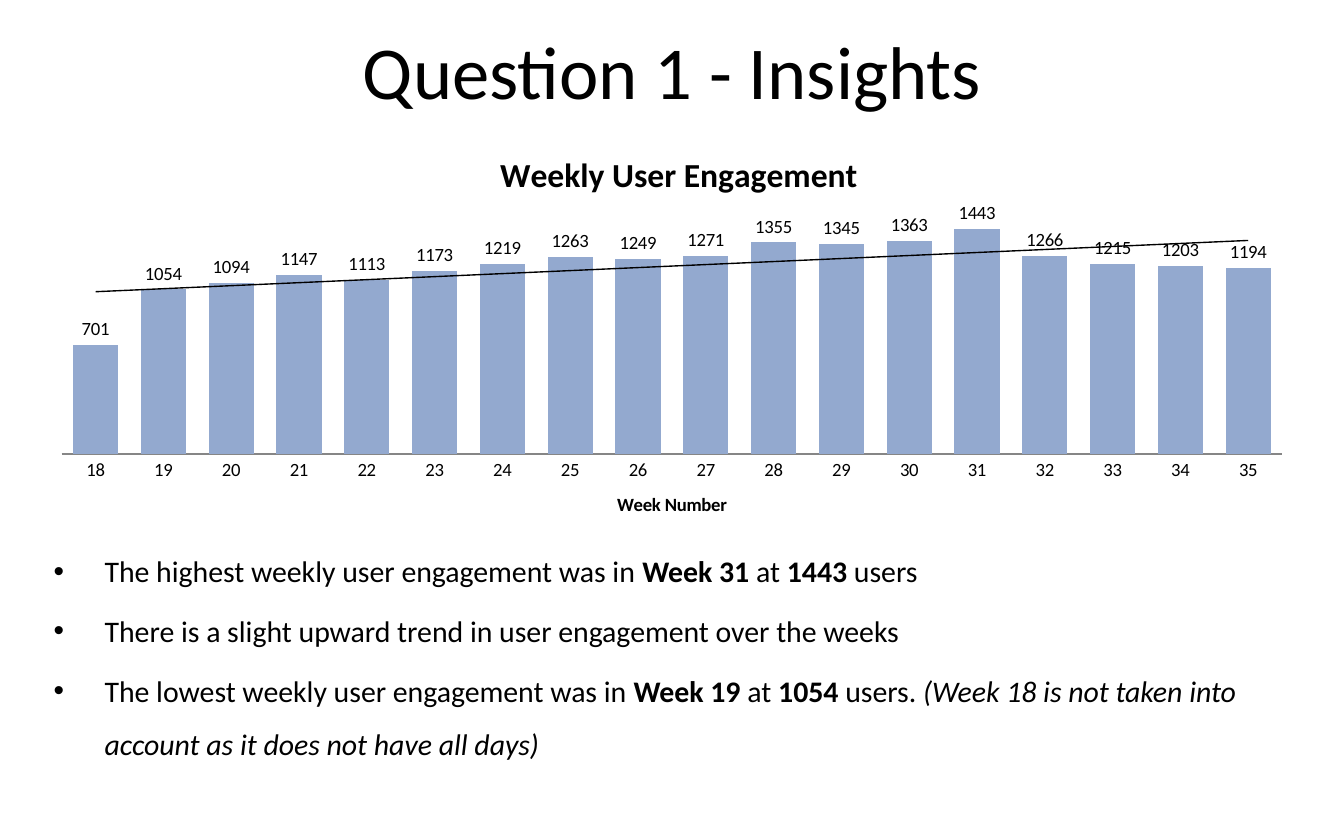
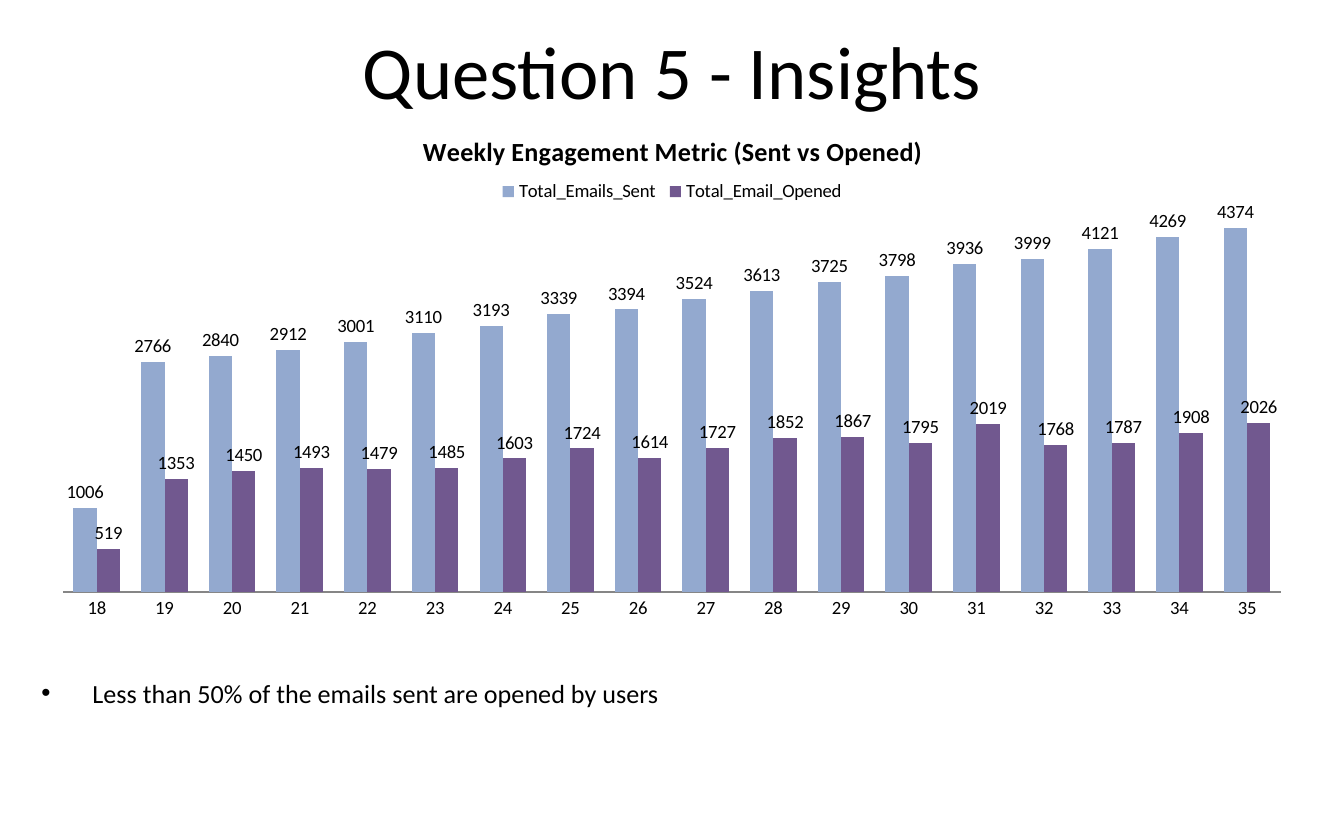
"""Build two slides of weekly insights, each with a chart and bullets."""
from dataclasses import dataclass

from lxml.etree import SubElement
from pptx import Presentation
from pptx.chart.data import CategoryChartData
from pptx.dml.color import RGBColor
from pptx.enum.chart import (XL_CHART_TYPE, XL_LABEL_POSITION,
                             XL_LEGEND_POSITION, XL_TICK_MARK)
from pptx.enum.text import MSO_ANCHOR, PP_ALIGN
from pptx.oxml import parse_xml
from pptx.oxml.ns import nsdecls, qn
from pptx.util import Inches, Pt


@dataclass(frozen=True)
class Theme:
    """Colours and type sizes shared by the slides."""
    font: str = "Calibri"
    ink: RGBColor = RGBColor(0, 0, 0)
    axis: RGBColor = RGBColor(0x86, 0x86, 0x86)
    blue: RGBColor = RGBColor(0x93, 0xA9, 0xCF)
    purple: RGBColor = RGBColor(0x71, 0x58, 0x8F)
    title_size: int = 40
    chart_size: int = 10


THEME = Theme()
WEEKS = [str(week) for week in range(18, 36)]
ENGAGEMENT = [701, 1054, 1094, 1147, 1113, 1173, 1219, 1263, 1249,
              1271, 1355, 1345, 1363, 1443, 1266, 1215, 1203, 1194]
SENT = [1006, 2766, 2840, 2912, 3001, 3110, 3193, 3339, 3394,
        3524, 3613, 3725, 3798, 3936, 3999, 4121, 4269, 4374]
OPENED = [519, 1353, 1450, 1493, 1479, 1485, 1603, 1724, 1614,
          1727, 1852, 1867, 1795, 2019, 1768, 1787, 1908, 2026]
ENGAGEMENT_NOTES = [
    [("The highest weekly user engagement was in ", ""), ("Week 31", "bold"),
     (" at ", ""), ("1443", "bold"), (" users", "")],
    [("There is a slight upward trend in user engagement over the weeks", "")],
    [("The lowest weekly user engagement was in ", ""), ("Week 19", "bold"),
     (" at ", ""), ("1054", "bold"), (" users. ", ""),
     ("(Week 18 is not taken into account as it does not have all days)", "italic")],
]
EMAIL_NOTES = [[("Less than 50% of the emails sent are opened by users", "")]]


def style_font(font, size, bold=False, italic=False):
    """Apply the theme typeface and ink to a font."""
    font.name, font.size = THEME.font, Pt(size)
    font.bold, font.italic = bold, italic
    font.color.rgb = THEME.ink


def add_span(para, text, size, style=""):
    """Add one styled run to a paragraph."""
    span = para.add_run()
    span.text = text
    style_font(span.font, size, style == "bold", style == "italic")


def add_frame(page, area):
    """Add a wrapping, vertically centred text box and return its frame."""
    frame = page.shapes.add_textbox(*map(Inches, area)).text_frame
    frame.word_wrap = True
    frame.vertical_anchor = MSO_ANCHOR.MIDDLE
    return frame


def add_page(deck, title):
    """Add a blank slide with the shared centred title."""
    page = deck.slides.add_slide(deck.slide_layouts[6])
    para = add_frame(page, (0, 0, 10, 1.04)).paragraphs[0]
    para.alignment = PP_ALIGN.CENTER
    add_span(para, title, THEME.title_size)
    return page


def add_bullets(page, area, notes, size):
    """Add a bulleted list whose items are lists of styled spans."""
    frame = add_frame(page, area)
    for index, note in enumerate(notes):
        para = frame.add_paragraph() if index else frame.paragraphs[0]
        para.line_spacing = 1.5
        para.space_before = Pt(size * 0.2)
        properties = para._p.get_or_add_pPr()
        properties.set("marL", str(Inches(0.38)))
        properties.set("indent", str(-Inches(0.38)))
        SubElement(properties, qn("a:buFont")).set("typeface", "Arial")
        SubElement(properties, qn("a:buChar")).set("char", "•")
        for text, style in note:
            add_span(para, text, size, style)


def place(chart, part, index, fractions, inner=False):
    """Position a chart part by fractions of the chart area."""
    element = chart.element.xpath(f"c:chart/c:{part}")[0]
    for old in element.findall(qn("c:layout")):
        element.remove(old)
    target = '<c:layoutTarget val="inner"/>' if inner else ""
    modes = '<c:xMode val="edge"/><c:yMode val="edge"/>'
    values = "".join(f'<c:{name} val="{value}"/>'
                     for name, value in zip("xywh", fractions))
    element.insert(index, parse_xml(
        f'<c:layout {nsdecls("c")}><c:manualLayout>{target}{modes}{values}'
        '</c:manualLayout></c:layout>'))


def add_columns(page, area, series, gap, top):
    """Add a column chart with value labels and a hidden value axis."""
    data = CategoryChartData()
    data.categories = WEEKS
    for name, values, _ in series:
        data.add_series(name, values)
    chart = page.shapes.add_chart(
        XL_CHART_TYPE.COLUMN_CLUSTERED, *map(Inches, area), data).chart
    style_font(chart.font, THEME.chart_size)
    chart.has_legend = False
    plot = chart.plots[0]
    plot.gap_width, plot.overlap, plot.vary_by_categories = gap, 0, False
    for bars, (_, _, color) in zip(plot.series, series):
        bars.format.fill.solid()
        bars.format.fill.fore_color.rgb = color
        bars.data_labels.show_value = True
        bars.data_labels.position = XL_LABEL_POSITION.OUTSIDE_END
    scale = chart.value_axis
    scale.minimum_scale, scale.maximum_scale = 0, top
    scale.has_major_gridlines = scale.visible = False
    chart.category_axis.major_tick_mark = XL_TICK_MARK.NONE
    chart.category_axis.format.line.color.rgb = THEME.axis
    return chart


def add_heading(owner, text, size):
    """Give a chart or axis a bold title."""
    owner.has_title = True
    title = owner.chart_title if hasattr(owner, "chart_title") else owner.axis_title
    add_span(title.text_frame.paragraphs[0], text, size, "bold")


def add_legend(chart, fractions):
    """Add a top legend at the given fractions of the chart."""
    chart.has_legend = True
    chart.legend.position = XL_LEGEND_POSITION.TOP
    chart.legend.include_in_layout = True
    style_font(chart.legend.font, THEME.chart_size)
    place(chart, "legend", 1, fractions)


def add_trend(chart):
    """Add a thin linear trend line to the first series."""
    categories = chart.element.xpath(".//c:ser/c:cat")[0]
    categories.addprevious(parse_xml(
        f'<c:trendline {nsdecls("c", "a")}><c:spPr><a:ln w="{Pt(0.75)}">'
        f'<a:solidFill><a:srgbClr val="{THEME.ink}"/></a:solidFill></a:ln></c:spPr>'
        '<c:trendlineType val="linear"/><c:dispRSqr val="0"/>'
        '<c:dispEq val="0"/></c:trendline>'))


def main():
    """Build and save the deck."""
    deck = Presentation()
    deck.slide_width, deck.slide_height = Inches(10), Inches(6.25)

    page = add_page(deck, "Question 1 - Insights")
    chart = add_columns(page, (0.27, 0.89, 9.46, 3.15),
                        [("Series 1", ENGAGEMENT, THEME.blue)], 50, 1600)
    add_heading(chart, "Weekly User Engagement", 18)
    add_heading(chart.category_axis, "Week Number", THEME.chart_size)
    add_trend(chart)
    place(chart, "title", 1, (0.36, 0.06))
    place(chart, "plotArea", 0, (0.02, 0.2, 0.96, 0.59), inner=True)
    add_bullets(page, (0.3, 3.92, 9.45, 1.81), ENGAGEMENT_NOTES, 16)

    page = add_page(deck, "Question 5 - Insights")
    chart = add_columns(page, (0.28, 0.76, 9.44, 3.92),
                        [("Total_Emails_Sent", SENT, THEME.blue),
                         ("Total_Email_Opened", OPENED, THEME.purple)], 90, 5000)
    add_heading(chart, "Weekly Engagement Metric (Sent vs Opened)", 14)
    add_legend(chart, (0.36, 0.14, 0.28, 0.06))
    place(chart, "title", 1, (0.3, 0.05))
    place(chart, "plotArea", 0, (0.02, 0.14, 0.96, 0.79), inner=True)
    add_bullets(page, (0.21, 4.46, 9.54, 1.27), EMAIL_NOTES, 14)

    deck.save("out.pptx")


if __name__ == "__main__":
    main()
